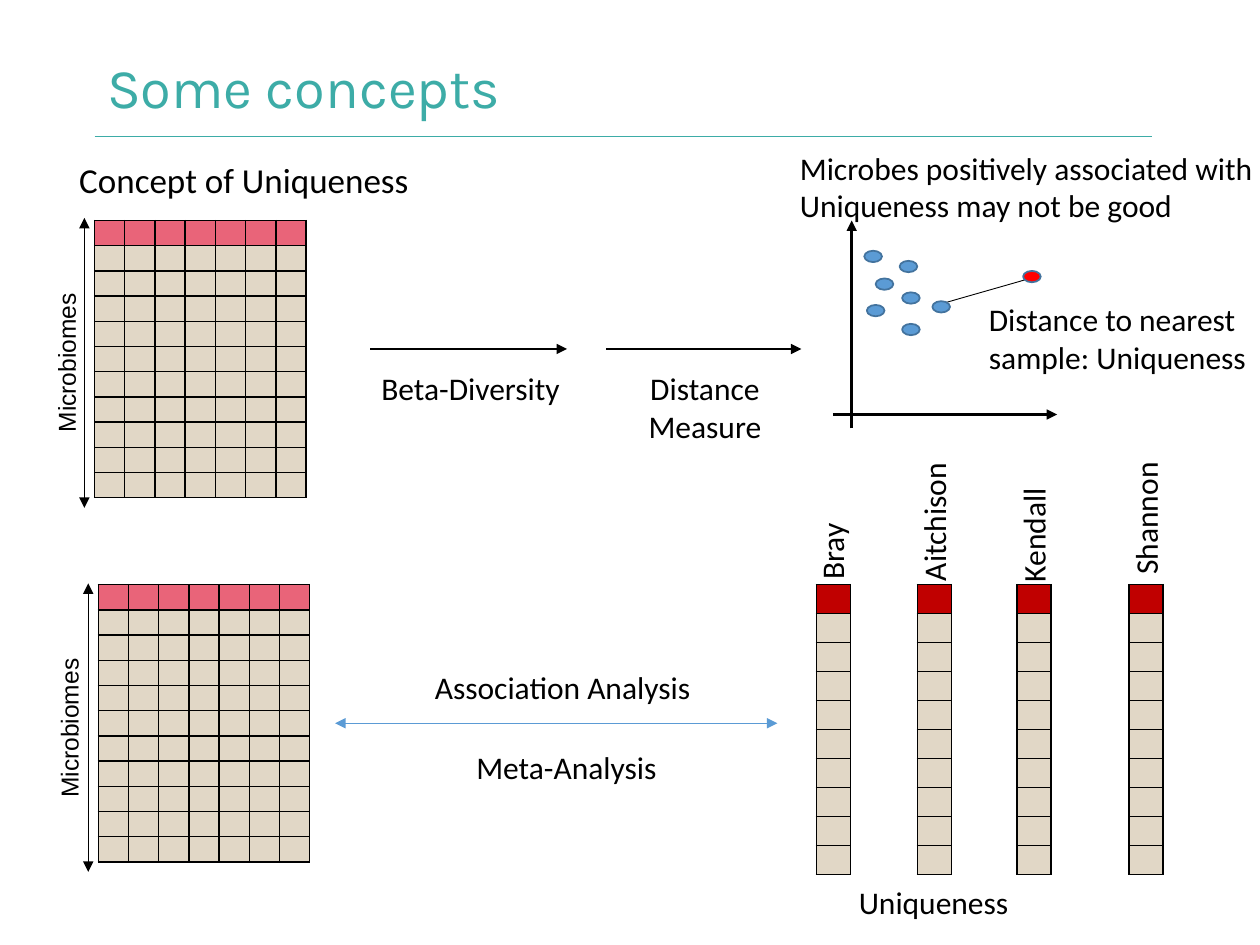
from pptx import Presentation
from pptx.dml.color import RGBColor
from pptx.enum.shapes import MSO_CONNECTOR as Connector, MSO_SHAPE as Shape
from pptx.enum.text import MSO_ANCHOR as Anchor, PP_ALIGN as Align
from pptx.oxml.ns import qn
from pptx.util import Inches, Pt
from lxml.etree import SubElement

TEAL, BLACK, BLUE, BLUE_EDGE = "3DACA7", "000000", "5B9BD5", "43739E"
PINK, SAND, DARK_RED, RED = "E96479", "E1D7C6", "C00000", "FF0000"

# left, top, columns, rows, column width, row height, header colour
MICROBIOME_GRIDS = [(left, top, 7, 11, 0.24, 0.2, PINK)
                    for left, top in [(0.75, 1.75), (0.78, 4.64)]]
UNIQUENESS_GRIDS = [(left, 4.64, 1, 10, 0.27, 0.23, DARK_RED)
                    for left in (6.48, 7.28, 8.07, 8.96)]

# text, left, top, width, height, size, alignment
LABELS = [
    ("Concept of Uniqueness", 0.53, 1.21, 3.11, 0.44, 20, Align.LEFT),
    ("Beta-Diversity", 2.72, 2.88, 2.03, 0.4, 18, Align.CENTER),
    ("Distance\nMeasure", 4.58, 2.88, 2.03, 0.71, 18, Align.CENTER),
    ("Distance to nearest sample: Uniqueness", 7.75, 2.33, 2.39, 0.71, 18, Align.LEFT),
    ("Microbes positively associated with Uniqueness may not be good",
     6.25, 1.13, 4.17, 0.71, 18, Align.LEFT),
    ("Association Analysis", 3.06, 5.25, 2.81, 0.4, 18, Align.CENTER),
    ("Meta-Analysis", 3.09, 5.89, 2.81, 0.4, 18, Align.CENTER),
    ("Uniqueness", 6.41, 6.96, 2, 0.4, 18, Align.CENTER),
]
# text, left, top, width, height, size, font
UPRIGHT_LABELS = [
    ("Microbiomes", -0.24, 2.59, 1.54, 0.34, 14, "Arial"),
    ("Microbiomes", -0.22, 5.49, 1.54, 0.34, 14, "Arial"),
    ("Bray", 6.17, 4.07, 0.86, 0.4, 18, "Calibri"),
    ("Aitchison", 6.83, 3.93, 1.16, 0.4, 18, "Calibri"),
    ("Kendall", 7.62, 3.94, 1.16, 0.4, 18, "Calibri"),
    ("Shannon", 8.51, 3.88, 1.16, 0.4, 18, "Calibri"),
]
# start, end, colour, weight, ends that carry an arrowhead
LINES = [
    ((0.75, 1.08), (9.14, 1.08), TEAL, 0.5, ()),
    ((0.67, 1.73), (0.67, 4.03), BLACK, 0.75, ("head", "tail")),
    ((0.7, 4.63), (0.7, 6.92), BLACK, 0.75, ("head", "tail")),
    ((2.94, 2.77), (4.5, 2.77), BLACK, 1.5, ("tail",)),
    ((4.81, 2.77), (6.36, 2.77), BLACK, 1.5, ("tail",)),
    ((6.76, 3.4), (6.76, 1.75), BLACK, 1.5, ("tail",)),
    ((6.61, 3.29), (8.39, 3.29), BLACK, 1.5, ("tail",)),
    ((8.14, 2.22), (7.51, 2.4), BLACK, 0.5, ()),
    ((2.66, 5.74), (6.17, 5.74), BLUE, 0.5, ("head", "tail")),
]
SAMPLE_SIZE = (0.14, 0.09)
SAMPLES = [(6.86, 1.99, BLUE), (6.95, 2.21, BLUE), (6.88, 2.42, BLUE), (7.16, 2.32, BLUE),
           (7.14, 2.07, BLUE), (7.16, 2.57, BLUE), (7.4, 2.39, BLUE), (8.12, 2.15, RED)]


def color(value):
    return RGBColor.from_string(value)


def inches(*values):
    return [Inches(value) for value in values]


def paint(shape, fill):
    shape.fill.solid()
    shape.fill.fore_color.rgb = color(fill)


def style(para, size, font, ink):
    para.font.size = Pt(size)
    para.font.name = font
    para.font.color.rgb = color(ink)


def add_label(slide, text, place, size, font="Calibri", align=Align.LEFT, rotation=0):
    box = slide.shapes.add_textbox(*inches(*place))
    box.rotation = rotation
    box.text_frame.word_wrap = True
    box.text_frame.text = text
    for para in box.text_frame.paragraphs:
        para.alignment = align
        style(para, size, font, BLACK)


def add_line(slide, start, end, ink, weight, arrow_ends):
    line = slide.shapes.add_connector(Connector.STRAIGHT, *inches(*start, *end))
    line.line.color.rgb = color(ink)
    line.line.width = Pt(weight)
    for end_name in arrow_ends:
        SubElement(line.line._get_or_add_ln(), qn(f"a:{end_name}End"), type="triangle")
    SubElement(line._element.spPr, qn("a:effectLst"))


def add_borders(cell):
    """Draw black borders; they must precede the fill in the cell's XML."""
    properties = cell._tc.get_or_add_tcPr()
    for side in "LRTB":
        border = SubElement(properties, qn(f"a:ln{side}"), w=str(Pt(1)))
        fill = SubElement(border, qn("a:solidFill"))
        SubElement(fill, qn("a:srgbClr"), val=BLACK)


def add_grid(slide, left, top, columns, rows, column_width, row_height, header):
    place = inches(left, top, columns * column_width, rows * row_height)
    table = slide.shapes.add_table(rows, columns, *place).table
    for column in table.columns:
        column.width = Inches(column_width)
    for index, row in enumerate(table.rows):
        row.height = Inches(row_height)
        for cell in row.cells:
            cell.margin_left = cell.margin_right = cell.margin_top = cell.margin_bottom = 0
            add_borders(cell)
            paint(cell, SAND if index else header)
            # A tiny size for the empty text keeps rows from growing
            cell.text_frame.paragraphs[0]._p.get_or_add_endParaRPr().set("sz", "400")


def add_sample(slide, left, top, fill):
    sample = slide.shapes.add_shape(Shape.OVAL, *inches(left, top, *SAMPLE_SIZE))
    sample.shadow.inherit = False
    paint(sample, fill)
    sample.line.color.rgb = color(BLUE_EDGE)
    sample.line.width = Pt(1)


def add_title(slide, text):
    title = slide.shapes.title
    title.left, title.top, title.width, title.height = inches(0.75, 0.35, 7.49, 0.73)
    title.text_frame.text = text
    title.text_frame.vertical_anchor = Anchor.MIDDLE
    para = title.text_frame.paragraphs[0]
    para.alignment = Align.LEFT
    para.line_spacing = 0.9
    style(para, 32, "Karla", TEAL)


def main():
    deck = Presentation()
    deck.slide_width, deck.slide_height = inches(10, 7.5)
    slide = deck.slides.add_slide(deck.slide_layouts[5])
    add_title(slide, "Some concepts")
    for grid in MICROBIOME_GRIDS + UNIQUENESS_GRIDS:
        add_grid(slide, *grid)
    for line in LINES:
        add_line(slide, *line)
    for sample in SAMPLES:
        add_sample(slide, *sample)
    for text, *place, size, align in LABELS:
        add_label(slide, text, place, size, align=align)
    for text, *place, size, font in UPRIGHT_LABELS:
        add_label(slide, text, place, size, font, rotation=270)
    deck.save("out.pptx")


if __name__ == "__main__":
    main()
